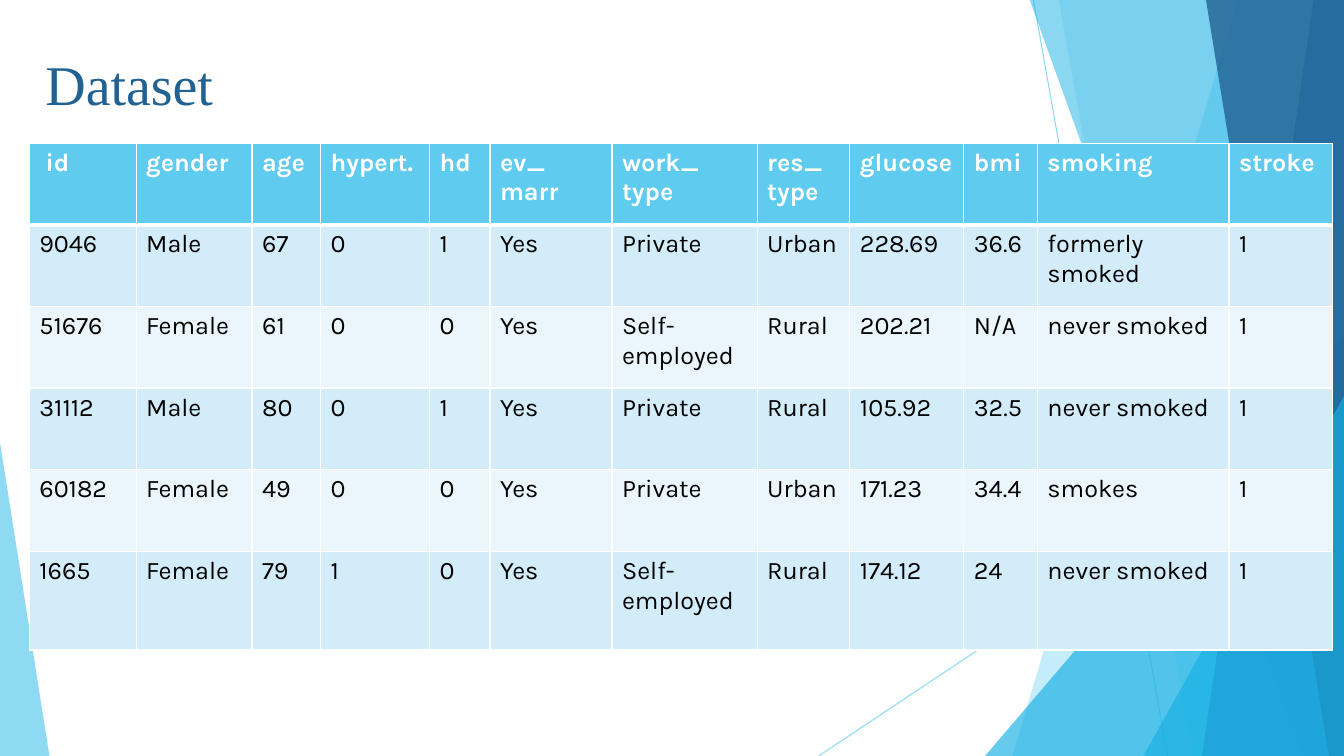
from lxml import etree
from pptx import Presentation
from pptx.dml.color import RGBColor
from pptx.enum import shapes, text
from pptx.oxml import ns
from pptx.util import Inches, Pt

COLOURS = {
    "sky": "5FCBEF", "cyan": "17B0E4", "blue": "2E83C3", "navy": "226292",
    "band": "D2ECF9", "pale": "EAF6FC", "white": "FFFFFF", "black": "000000",
}
WIDTH, HEIGHT = 13.33, 7.5
PANEL_TOP = -0.01


def rgb(name):
    return RGBColor.from_string(COLOURS[name])


def set_opacity(shape, percent):
    """Make the shape's first colour partly transparent."""
    colour = next(shape._element.spPr.iter(ns.qn("a:srgbClr")))
    etree.SubElement(colour, ns.qn("a:alpha"), val=str(percent * 1000))


deck = Presentation()
deck.slide_width, deck.slide_height = Inches(WIDTH), Inches(HEIGHT)
page = deck.slides.add_slide(deck.slide_layouts[5])

# Thin rays behind the facets
for start_x, start_y, end_x in [(10.25, 0, 11.58), (WIDTH, 4.03, 8.12)]:
    ray = page.shapes.add_connector(
        shapes.MSO_CONNECTOR.STRAIGHT,
        Inches(start_x), Inches(start_y), Inches(end_x), Inches(HEIGHT))
    ray.line.color.rgb = rgb("sky")
    ray.line.width = Pt(0.75)
    set_opacity(ray, 70)
    etree.SubElement(ray._element.spPr, ns.qn("a:effectLst"))

# Facets from back to front: a panel has its top and bottom left corners,
# a triangle has left, top, width and the place of its apex
facets = [
    ("sky", 36, (12.28, 10.04)),
    ("sky", 20, (10.5, 11.83)),
    ("cyan", 66, (9.77, 3.33, 3.56, 1)),
    ("cyan", 50, (10.21, 12.91)),
    ("blue", 70, (13.03, 11.92)),
    ("navy", 80, (11.96, 13.18)),
    ("cyan", 66, (11.34, 3.93, 1.99, 1)),
    ("sky", 70, (0, 4.39, 0.49, 0)),
]
for colour, opacity, outline in facets:
    if len(outline) == 2:
        top_x, bottom_x = outline
        corners = [(WIDTH, PANEL_TOP), (WIDTH, HEIGHT), (bottom_x, HEIGHT)]
        builder = page.shapes.build_freeform(Inches(top_x), Inches(PANEL_TOP))
        builder.add_line_segments([(Inches(x), Inches(y)) for x, y in corners])
        facet = builder.convert_to_shape()
    else:
        left, top, width, apex = outline
        facet = page.shapes.add_shape(
            shapes.MSO_SHAPE.ISOSCELES_TRIANGLE,
            Inches(left), Inches(top), Inches(width), Inches(HEIGHT - top))
        facet.adjustments[0] = apex
    facet.shadow.inherit = False
    facet.fill.solid()
    facet.fill.fore_color.rgb = rgb(colour)
    facet.line.fill.background()
    set_opacity(facet, opacity)

# Title
title = page.shapes.title
place = {"left": 0.35, "top": 0.59, "width": 9.4, "height": 0.62}
for name, value in place.items():
    setattr(title, name, Inches(value))
frame = title.text_frame
frame.text = "Dataset"
frame.auto_size = text.MSO_AUTO_SIZE.NONE
frame.vertical_anchor = text.MSO_ANCHOR.BOTTOM
para = frame.paragraphs[0]
para.alignment = text.PP_ALIGN.LEFT
for name, value in {"name": "Times New Roman", "size": Pt(40)}.items():
    setattr(para.font, name, value)
para.font.color.rgb = rgb("navy")

# Table of patients
rows = [
    [" id", "gender", "age", "hypert.", "hd", "ev_\nmarr", "work_\ntype",
     "res_\ntype", "glucose", "bmi", "smoking", "stroke"],
    ["9046", "Male", "67", "0", "1", "Yes", "Private",
     "Urban", "228.69", "36.6", "formerly smoked", "1"],
    ["51676", "Female", "61", "0", "0", "Yes", "Self-employed",
     "Rural", "202.21", "N/A", "never smoked", "1"],
    ["31112", "Male", "80", "0", "1", "Yes", "Private",
     "Rural", "105.92", "32.5", "never smoked", "1"],
    ["60182", "Female", "49", "0", "0", "Yes", "Private",
     "Urban", "171.23", "34.4", "smokes", "1"],
    ["1665", "Female", "79", "1", "0", "Yes", "Self-employed",
     "Rural", "174.12", "24", "never smoked", "1"],
]
column_widths = [1.06, 1.15, 0.68, 1.08, 0.6, 1.21, 1.44, 0.92, 1.13, 0.73, 1.9, 1.03]
row_heights = [0.81] * 5 + [0.98]
table = page.shapes.add_table(
    len(rows), len(column_widths), Inches(0.29), Inches(1.42),
    Inches(sum(column_widths)), Inches(sum(row_heights))).table
for column, width in zip(table.columns, column_widths):
    column.width = Inches(width)
for row, height in zip(table.rows, row_heights):
    row.height = Inches(height)

for r, values in enumerate(rows):
    header = r == 0
    fill = "sky" if header else "band" if r % 2 else "pale"
    borders = {"lnL": 1, "lnR": 1, "lnT": 3 if r == 1 else 1, "lnB": 3 if header else 1}
    font_format = {"name": "Karla", "size": Pt(18), "bold": header}
    for c, value in enumerate(values):
        cell = table.cell(r, c)
        cell.text = value
        properties = cell._tc.get_or_add_tcPr()
        for side, points in borders.items():
            border = etree.SubElement(properties, ns.qn(f"a:{side}"), w=str(Pt(points)))
            solid = etree.SubElement(border, ns.qn("a:solidFill"))
            etree.SubElement(solid, ns.qn("a:srgbClr"), val=COLOURS["white"])
        cell.fill.solid()
        cell.fill.fore_color.rgb = rgb(fill)
        for para in cell.text_frame.paragraphs:
            for name, setting in font_format.items():
                setattr(para.font, name, setting)
            para.font.color.rgb = rgb("white" if header else "black")

deck.save("out.pptx")
